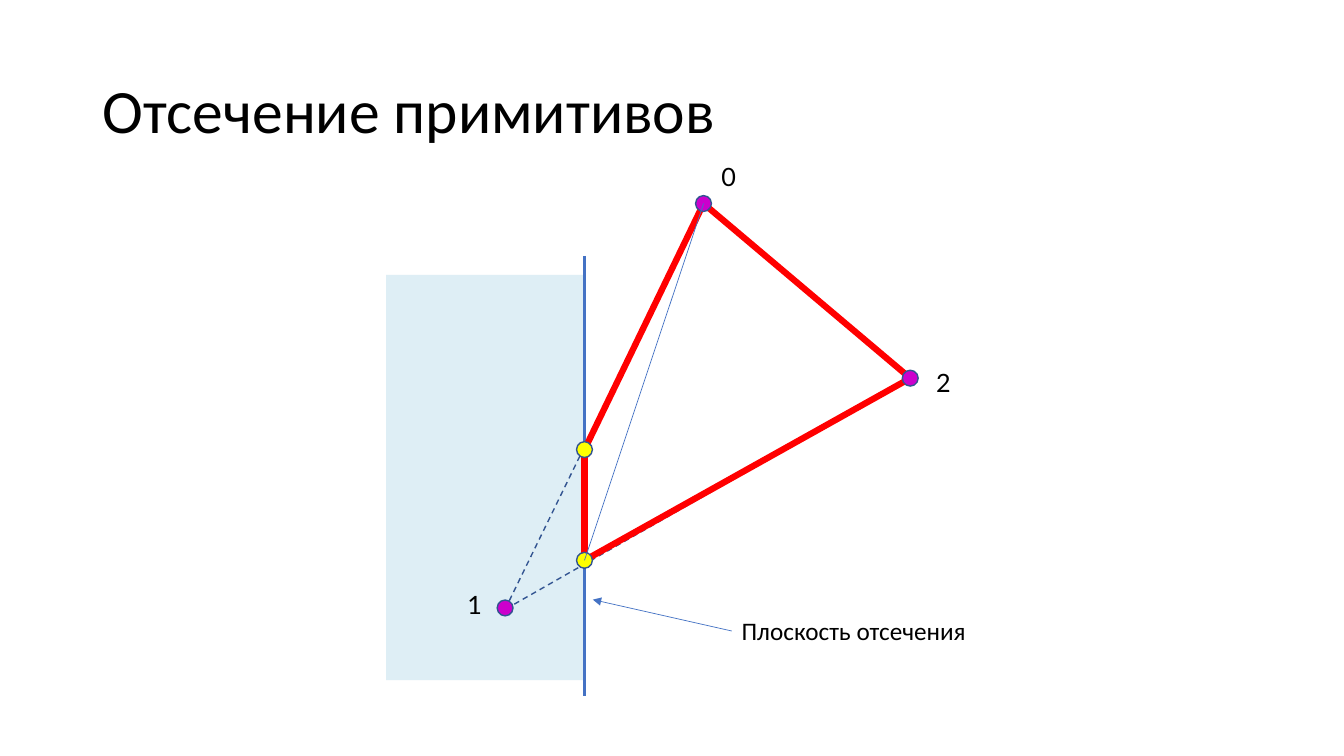
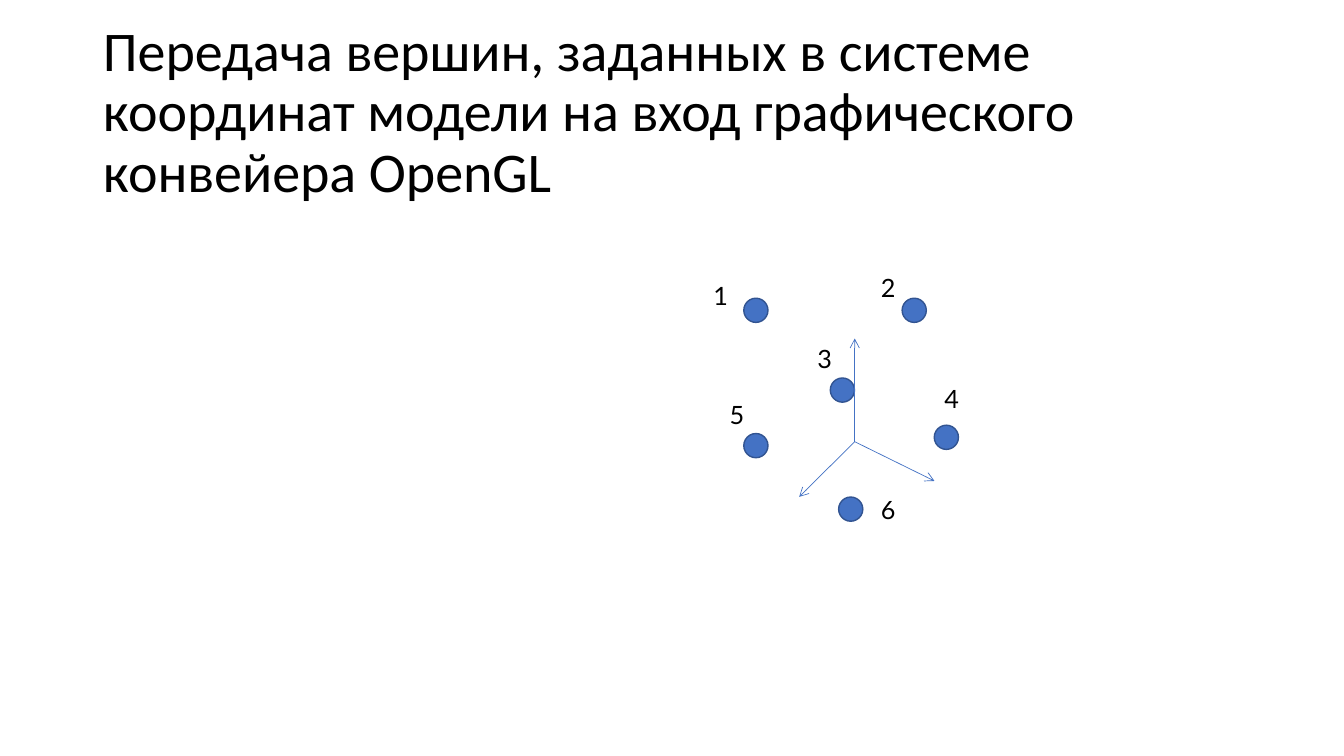
import pptx
import pptx.util
import pptx.dml.color
import pptx.enum.dml
import pptx.enum.shapes
import pptx.enum.text
import pptx.oxml
import pptx.oxml.ns

Cm = pptx.util.Cm
Pt = pptx.util.Pt
rgb = pptx.dml.color.RGBColor.from_string
kind = pptx.enum.shapes.MSO_SHAPE
anchor = pptx.enum.text.MSO_ANCHOR
fit = pptx.enum.text.MSO_AUTO_SIZE
nsmap = pptx.oxml.ns.nsdecls("a")

BLACK, BLUE, NAVY = "000000", "4472C4", "325491"
RED, PINK, GOLD, AQUA = "FF0000", "CC00CC", "FFFF00", "7FBFDB"


def paint(shape, fill, edge):
    shape.shadow.inherit = False
    if fill:
        shape.fill.solid()
        shape.fill.fore_color.rgb = rgb(fill)
    else:
        shape.fill.background()
    if edge:
        shape.line.color.rgb = rgb(edge)
        shape.line.width = Pt(1)
    else:
        shape.line.fill.background()


def link(page, start, end, color, width, tip=None):
    line = page.shapes.add_connector(
        pptx.enum.shapes.MSO_CONNECTOR.STRAIGHT, *[Cm(v) for v in start + end])
    line.line.color.rgb = rgb(color)
    line.line.width = Pt(width)
    if tip:
        line.line._get_or_add_ln().append(
            pptx.oxml.parse_xml(f'<a:tailEnd {nsmap} type="{tip}"/>'))
    line._element.spPr.append(pptx.oxml.parse_xml(f"<a:effectLst {nsmap}/>"))


deck = pptx.Presentation()
deck.slide_width, deck.slide_height = Cm(33.87), Cm(19.05)

pages = []
for text, size in [
    ("Отсечение примитивов", 44),
    ("Передача вершин, заданных в системе координат модели на вход графического конвейера OpenGL", 40),
]:
    page = deck.slides.add_slide(deck.slide_layouts[5])
    title = page.shapes.title
    title.left, title.top, title.width, title.height = Cm(2.34), Cm(1.02), Cm(29.21), Cm(3.68)
    frame = title.text_frame
    frame.text = text
    frame.word_wrap = True
    frame.auto_size = fit.NONE
    frame.vertical_anchor = anchor.MIDDLE
    para = frame.paragraphs[0]
    para.alignment = pptx.enum.text.PP_ALIGN.LEFT
    para.line_spacing = 0.9
    para.font.name, para.font.size = "Calibri", Pt(size)
    para.font.color.rgb = rgb(BLACK)
    pages.append(page)
clip, model = pages

top, left, right = (17.73, 5.13), (12.73, 15.32), (22.94, 9.53)
plane = 14.73
high, low = (plane, 11.33), (plane, 14.12)

zone = clip.shapes.add_shape(kind.RECTANGLE, Cm(9.73), Cm(6.93), Cm(5), Cm(10.21))
paint(zone, AQUA, None)
tint = zone._element.spPr.find(".//" + pptx.oxml.ns.qn("a:srgbClr"))
tint.append(pptx.oxml.parse_xml(f'<a:alpha {nsmap} val="25000"/>'))

whole = clip.shapes.add_shape(kind.ISOSCELES_TRIANGLE, Cm(10.36), Cm(6.43), Cm(11.79), Cm(6.43))
whole.adjustments[0] = 0.8
whole.rotation = 330.3
paint(whole, None, NAVY)
whole.line.dash_style = pptx.enum.dml.MSO_LINE.DASH

link(clip, (plane, 6.45), (plane, 17.53), BLUE, 2.25)
ring = [high, top, right, low]
for start, end in zip(ring, ring[1:] + ring[:1]):
    link(clip, start, end, RED, 4.5)

spots = [(19.05, 7.82), (23.04, 7.82), (21.23, 9.83), (23.85, 11.02), (19.05, 11.23), (21.44, 12.83)]
for page, points, size, fill in [
    (clip, [left, top, right], 0.4, PINK),
    (clip, [high, low], 0.4, GOLD),
    (model, spots, 0.61, BLUE),
]:
    for x, y in points:
        dot = page.shapes.add_shape(
            kind.OVAL, Cm(x - size / 2), Cm(y - size / 2), Cm(size), Cm(size))
        paint(dot, fill, NAVY)

link(clip, low, top, BLUE, 0.5)
link(clip, (18.44, 15.9), (14.94, 15.11), BLUE, 0.5, "triangle")
for end in [(23.55, 12.12), (20.14, 12.52), (21.54, 8.53)]:
    link(model, (21.54, 11.13), end, BLUE, 0.5, "arrow")

for page, text, x, y, width, face in [
    (clip, "0", 17.93, 3.94, 1, "Lato"),
    (clip, "1", 11.53, 14.73, 1, "Lato"),
    (clip, "2", 23.34, 9.12, 1, "Lato"),
    (clip, "Плоскость отсечения", 18.44, 15.39, 7.19, "Calibri"),
    (model, "1", 17.73, 6.93, 1, "Lato"),
    (model, "2", 21.95, 6.73, 1, "Lato"),
    (model, "3", 20.35, 8.53, 1, "Lato"),
    (model, "4", 23.55, 9.53, 1, "Lato"),
    (model, "5", 18.14, 9.93, 1, "Lato"),
    (model, "6", 21.95, 12.32, 1, "Lato"),
]:
    frame = page.shapes.add_textbox(Cm(x), Cm(y), Cm(width), Cm(1.02)).text_frame
    frame.word_wrap = True
    frame.text = text
    font = frame.paragraphs[0].font
    font.name, font.size = face, Pt(18)
    font.color.rgb = rgb(BLACK)

deck.save("out.pptx")
